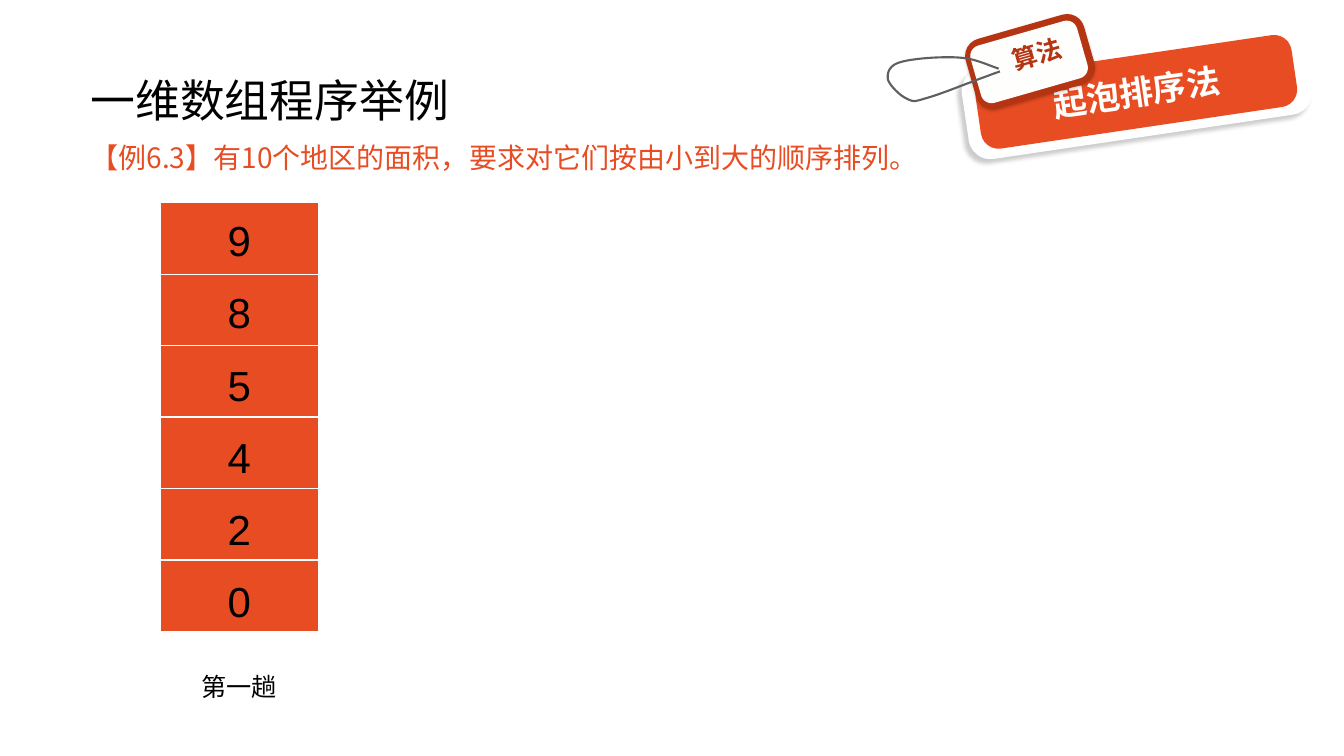
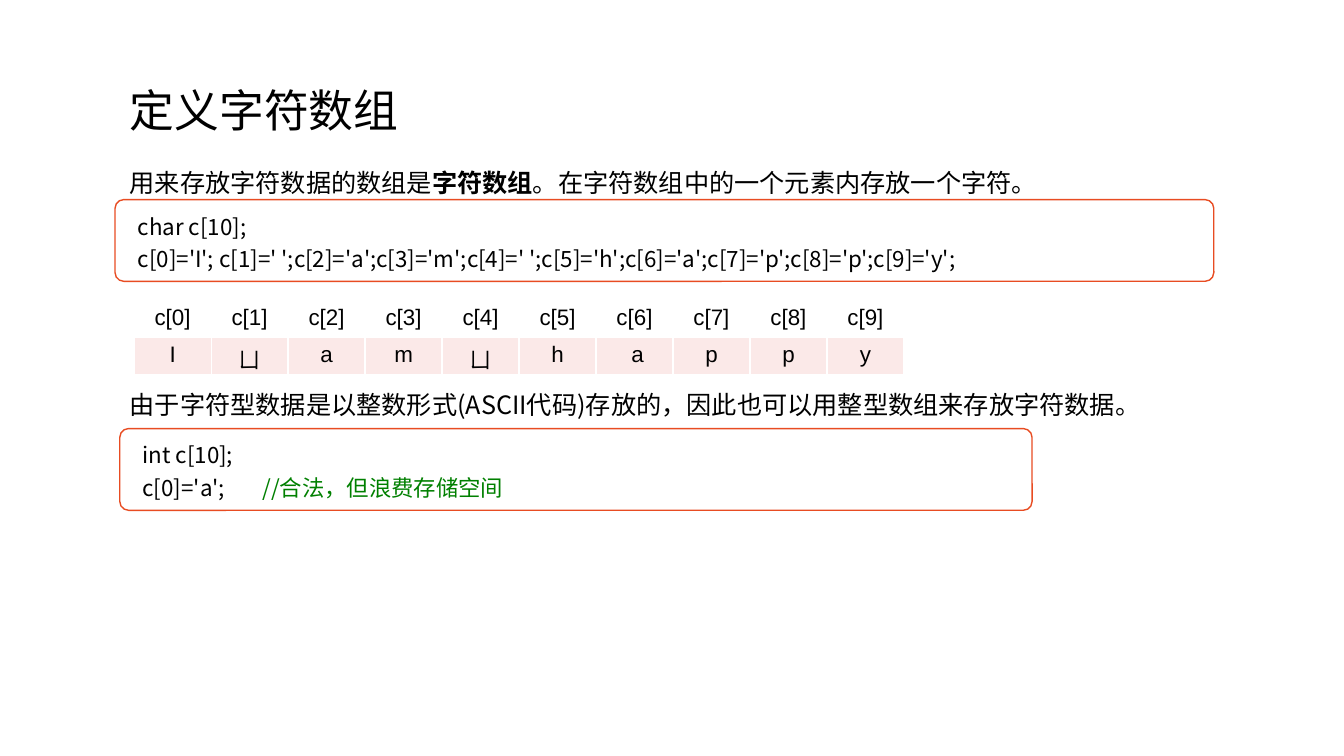
"""Build two lecture slides about bubble sorting and character arrays."""
from lxml import etree
from pptx import Presentation
from pptx.dml.color import RGBColor
from pptx.enum.shapes import MSO_SHAPE
from pptx.enum.text import MSO_ANCHOR, PP_ALIGN
from pptx.oxml.ns import qn
from pptx.util import Cm, Pt

ROUNDED = MSO_SHAPE.ROUNDED_RECTANGLE
ELLIPSE = MSO_SHAPE.OVAL
MIDDLE, TOP = MSO_ANCHOR.MIDDLE, MSO_ANCHOR.TOP
LEFT, CENTER = PP_ALIGN.LEFT, PP_ALIGN.CENTER
COLORS = {
    "text": "000000", "white": "FFFFFF", "paper": "FEFEFD", "accent": "E84C22",
    "dark": "B53513", "string": "5F5F5F", "pale": "FBE9E8", "comment": "008000",
}
CJK, LATIN = "Noto Sans CJK SC", "Arial"
INSETS = (0.25, 0.13, 0.25, 0.13)
CODE_INSETS = (0.51, 0.13, 0.25, 0.13)


def color(name):
    return RGBColor.from_string(COLORS[name])


def add_element(parent, tag, **attributes):
    element = etree.SubElement(parent, qn(tag))
    for name, value in attributes.items():
        element.set(name, str(value))
    return element


def bezier(start, first, second, end, steps=12):
    for step in range(1, steps + 1):
        t = step / steps
        weights = ((1 - t) ** 3, 3 * t * (1 - t) ** 2, 3 * t ** 2 * (1 - t), t ** 3)
        points = (start, first, second, end)
        yield tuple(Cm(sum(w * p[axis] for w, p in zip(weights, points)))
                    for axis in (0, 1))


class Deck:
    def __init__(self):
        self.presentation = Presentation()
        self.presentation.slide_width = Cm(33.87)
        self.presentation.slide_height = Cm(19.05)
        self.slide = None
        self.shapes = None

    def new_slide(self):
        self.slide = self.presentation.slides.add_slide(
            self.presentation.slide_layouts[6])
        self.shapes = self.slide.shapes

    def begin_group(self):
        self.shapes = self.slide.shapes.add_group_shape().shapes

    def end_group(self):
        self.shapes = self.slide.shapes

    def fill_text(self, text_frame, paragraphs, size=18, font=CJK, ink="text",
                  bold=False, align=LEFT, spacing=1.0, before=0):
        for index, pieces in enumerate(paragraphs):
            paragraph = (text_frame.add_paragraph() if index
                         else text_frame.paragraphs[0])
            pieces = (pieces,) if isinstance(pieces, str) else pieces
            paragraph.text = pieces[0]
            for piece in pieces[1:]:
                paragraph.add_run().text = piece
            paragraph.alignment = align
            paragraph.line_spacing = spacing
            paragraph.space_before = Pt(before)
            for run in paragraph.runs:
                run.font.size = Pt(size)
                run.font.bold = bold
                run.font.name = font
                run.font.color.rgb = color(ink)
                add_element(run.font._element, "a:ea", typeface=CJK)

    def frame(self, shape, paragraphs, insets=INSETS, anchor=TOP, **style):
        text_frame = shape.text_frame
        text_frame.word_wrap = True
        text_frame.vertical_anchor = anchor
        (text_frame.margin_left, text_frame.margin_top,
         text_frame.margin_right, text_frame.margin_bottom) = map(Cm, insets)
        self.fill_text(text_frame, paragraphs, **style)

    def text(self, box, paragraphs, **style):
        shape = self.shapes.add_textbox(*map(Cm, box))
        self.frame(shape, paragraphs, **style)
        return shape

    def title(self, box, text):
        self.text(box, [text], anchor=MIDDLE, size=32, spacing=0.9)

    def shape(self, kind, box, fill, line=None, rotation=0, corner=None, shadow=None):
        shape = self.shapes.add_shape(kind, *map(Cm, box))
        shape.rotation = rotation
        shape.fill.solid()
        shape.fill.fore_color.rgb = color(fill)
        if line:
            shape.line.color.rgb = color(line)
            shape.line.width = Pt(1)
        else:
            shape.line.fill.background()
        if corner is not None:
            shape.adjustments[0] = corner
        shape.shadow.inherit = False
        if shadow:
            self.cast_shadow(shape, *shadow)
        return shape

    def cast_shadow(self, shape, blur, distance, angle):
        effects = shape._element.spPr.find(qn("a:effectLst"))
        outer = add_element(effects, "a:outerShdw", blurRad=Pt(blur),
                            dist=Pt(distance), dir=angle * 60000, rotWithShape=0)
        ink = add_element(outer, "a:srgbClr", val=COLORS["text"])
        add_element(ink, "a:alpha", val=20000)

    def code(self, box, lines):
        shape = self.shape(ROUNDED, box, "white", line="accent", corner=0.107)
        self.frame(shape, lines, insets=CODE_INSETS, size=16, spacing=1.2)
        return shape

    def curve(self, start, segments):
        builder = self.shapes.build_freeform(*map(Cm, start), scale=1.0)
        for first, second, end in segments:
            builder.add_line_segments(bezier(start, first, second, end), close=False)
            start = end
        shape = builder.convert_to_shape()
        shape.fill.background()
        shape.line.color.rgb = color("string")
        shape.line.width = Pt(1.5)
        shape.shadow.inherit = False

    def table(self, left, top, column_width, row_height, rows, fills):
        count = len(rows[0])
        table = self.shapes.add_table(
            len(rows), count, Cm(left), Cm(top), Cm(column_width * count),
            Cm(row_height * len(rows))).table
        table.first_row = table.horz_banding = False
        for column in table.columns:
            column.width = Cm(column_width)
        for row, values, fill in zip(table.rows, rows, fills):
            row.height = Cm(row_height)
            for cell, value in zip(row.cells, values):
                if value:
                    self.fill_text(cell.text_frame, [value], size=16, font=LATIN,
                                   align=CENTER)
                self.white_borders(cell)
                if fill:
                    cell.fill.solid()
                    cell.fill.fore_color.rgb = color(fill)
                else:
                    cell.fill.background()

    def white_borders(self, cell):
        properties = cell._tc.get_or_add_tcPr()
        for side in ("a:lnL", "a:lnR", "a:lnT", "a:lnB"):
            border = add_element(properties, side, w=Pt(1))
            fill = add_element(border, "a:solidFill")
            add_element(fill, "a:srgbClr", val=COLORS["white"])

    def hanging_tag(self, label, tag):
        self.begin_group()
        self.shape(ROUNDED, (24.28, 1.17, 8.74, 2.29), "white", rotation=351.6,
                   corner=0.242, shadow=(3, 4, 135))
        card = self.shape(ROUNDED, (24.61, 1.4, 8.05, 1.83), "accent",
                          rotation=351.6, corner=0.242)
        self.frame(card, [label], insets=(0, 0, 0, 0), anchor=MIDDLE, size=24,
                   ink="paper", bold=True, align=CENTER)
        self.shape(ROUNDED, (24.41, 0.64, 3.1, 1.83), "dark", rotation=344,
                   corner=0.242, shadow=(2, 1, 100))
        plate = self.shape(ROUNDED, (24.54, 0.81, 2.79, 1.5), "paper",
                           rotation=344, corner=0.182)
        self.frame(plate, [tag], insets=(0.51, 0, 0, 0.3), anchor=MIDDLE,
                   ink="dark", bold=True, align=CENTER)
        self.shape(ELLIPSE, (24.77, 1.57, 0.46, 0.46), "white")
        self.curve((25.17, 1.73), [
            ((24.87, 1.63), (24.56, 1.47), (24.16, 1.45)),
            ((23.75, 1.42), (22.99, 1.47), (22.68, 1.57)),
            ((22.4, 1.65), (22.35, 1.85), (22.38, 2.01)),
            ((22.43, 2.16), (22.68, 2.41), (22.86, 2.49)),
            ((23.04, 2.57), (23.01, 2.57), (23.39, 2.46)),
            ((23.8, 2.34), (24.54, 2.03), (25.2, 1.8)),
        ])
        self.end_group()


def sorting_slide(deck):
    deck.new_slide()
    digits = "985420"
    deck.table(4.04, 5.11, 3.99, 1.8, [[""] for _ in digits],
               ["accent"] * len(digits))
    deck.title((2.03, 0.76, 29.21, 3.68), "一维数组程序举例")
    deck.text((2.03, 3.23, 29.21, 1.68),
              ["【例6.3】有10个地区的面积，要求对它们按由小到大的顺序排列。"],
              size=20, ink="accent", spacing=1.2, before=10)
    deck.hanging_tag("起泡排序法", "算法")
    for index, digit in enumerate(digits):
        deck.text((5.28, 5.28 + 1.82 * index, 1.5, 1.55), [digit],
                  size=30, font=LATIN, align=CENTER)
    deck.text((4.14, 16.79, 3.78, 1.04), ["第一趟"], font=LATIN, align=CENTER)


def character_slide(deck):
    deck.new_slide()
    deck.title((3.02, 1.02, 16.46, 3.68), "定义字符数组")
    definition = deck.text((3.02, 4.09, 24.61, 1.02), [
        ("用来存放字符数据的数组是", "字符数组",
         "。在字符数组中的一个元素内存放一个字符。")])
    definition.text_frame.paragraphs[0].runs[1].font.bold = True
    deck.code((2.9, 5.03, 27.69, 2.06), [
        "char c[10];",
        "c[0]='I'; c[1]=' ';c[2]='a';c[3]='m';c[4]=' ';"
        "c[5]='h';c[6]='a';c[7]='p';c[8]='p';c[9]='y';"])
    letters = ["I", "ㄩ", "a", "m", "ㄩ", "h", " a", "p", "p", "y"]
    names = [f"c[{index}]" for index in range(len(letters))]
    deck.table(3.38, 7.57, 1.94, 0.93, [names, letters], [None, "pale"])
    deck.text((3.02, 9.68, 26.72, 1.02), [
        "由于字符型数据是以整数形式(ASCII代码)存放的，"
        "因此也可以用整型数组来存放字符数据。"])
    code = deck.code((3.02, 10.8, 22.99, 2.06), [
        "int c[10];", ("c[0]='a'; \t", "//合法，但浪费存储空间")])
    assignment = code.text_frame.paragraphs[1]
    assignment.runs[1].font.color.rgb = color("comment")
    tabs = add_element(assignment._p.get_or_add_pPr(), "a:tabLst")
    add_element(tabs, "a:tab", pos=Cm(3.02), algn="l")


deck = Deck()
sorting_slide(deck)
character_slide(deck)
deck.presentation.save("out.pptx")
